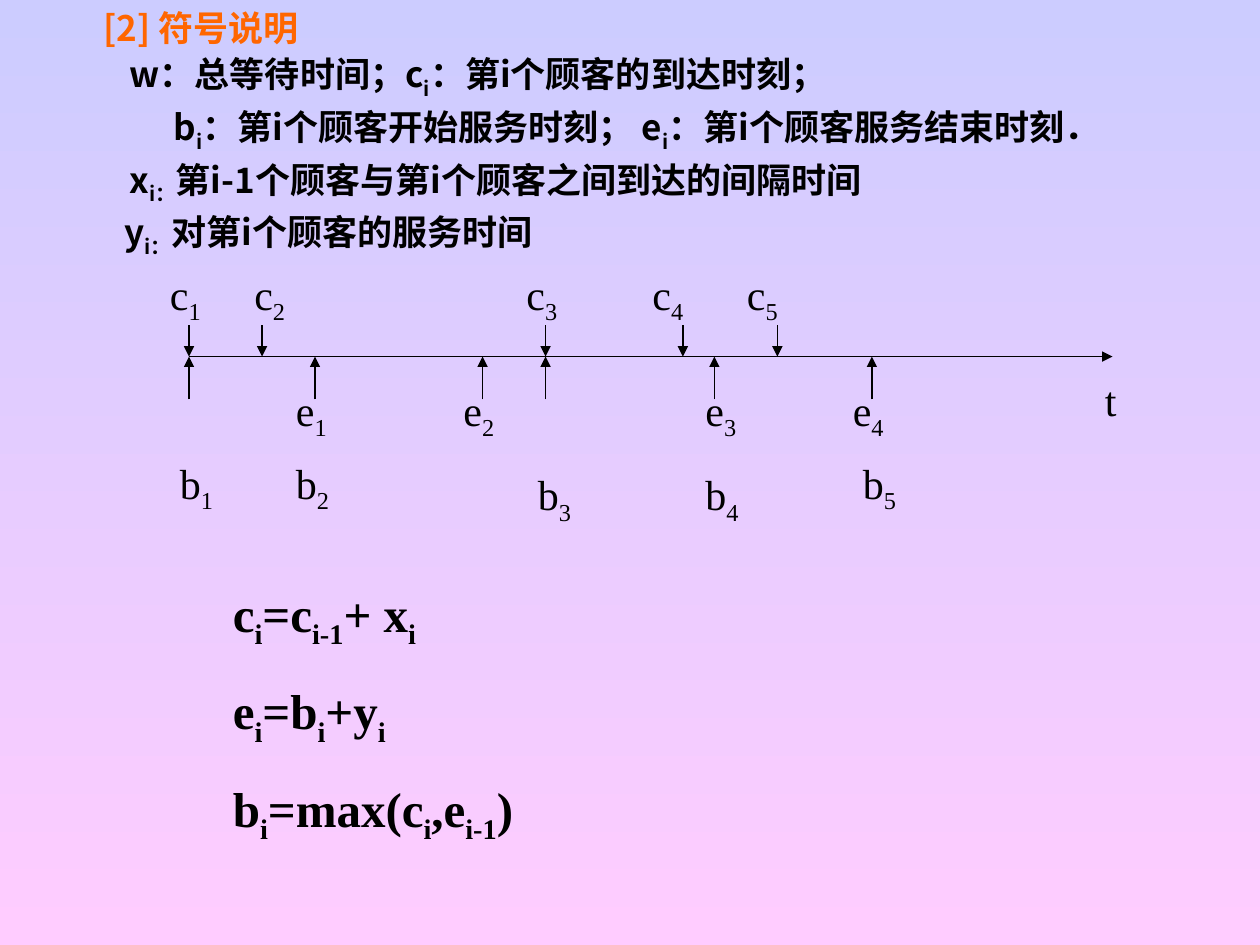
"""Builds the queueing notation slide with its customer timeline."""
from dataclasses import dataclass

from pptx import Presentation
from pptx.dml.color import RGBColor
from pptx.enum.shapes import MSO_CONNECTOR
from pptx.enum.text import MSO_AUTO_SIZE
from pptx.oxml.ns import qn
from pptx.util import Inches, Pt
from lxml.etree import SubElement

COLORS = {"ink": "000000", "heading": "FF6600", "top": "CCCCFF", "bottom": "FFCCFF"}
CJK, LATIN = "Noto Sans CJK SC", "Times New Roman"
AXIS_Y, ARRIVAL_Y, SERVICE_Y = 2.83, 2.58, 3.17


@dataclass(frozen=True)
class Line:
    text: str
    indent: float = 0
    color: str = "ink"
    spacing: float = 1.0
    before: float = 0


@dataclass(frozen=True)
class Style:
    font: str
    size: float
    bold: bool = False


@dataclass(frozen=True)
class Label:
    text: str
    left: float
    top: float
    width: float = 0.58


DEFINITIONS = [
    Line("[2] 符号说明", 0.29, "heading"),
    Line("w：总等待时间；c|i|：第i个顾客的到达时刻；", 0.5, spacing=1.1),
    Line("b|i|：第i个顾客开始服务时刻； e|i|：第i个顾客服务结束时刻．", 0.85, spacing=1.1),
    Line("x|i：|第i-1个顾客与第i个顾客之间到达的间隔时间", 0.5, spacing=1.1),
    Line("y|i：|对第i个顾客的服务时间", 0.46, spacing=1.1),
]
FORMULAS = [
    Line(formula, before=17.5)
    for formula in ("c|i|=c|i-1|+ x|i", "e|i|=b|i|+y|i", "b|i|=max(c|i|,e|i-1|)")
]
ARRIVALS = [1.5, 2.08, 4.33, 5.42, 6.17]
SERVICES = [1.5, 2.5, 3.83, 4.33, 5.67, 6.92]
LABELS = [
    *(Label(f"c|{i}", left, 2.08)
      for i, left in enumerate([1.25, 1.92, 4.08, 5.08, 5.83], 1)),
    *(Label(f"e|{i}", left, 3, width)
      for i, (left, width) in enumerate(
          [(2.25, 0.58), (3.58, 0.58), (5.5, 0.67), (6.67, 0.83)], 1)),
    Label("b|1", 1.33, 3.58, 0.5),
    Label("b|2", 2.25, 3.58, 0.83),
    Label("b|3", 4.17, 3.67, 0.83),
    Label("b|4", 5.5, 3.67, 0.5),
    Label("b|5", 6.75, 3.58, 0.67),
    Label("t", 8.67, 2.92, 0.5),
]


def rgb(name: str) -> RGBColor:
    return RGBColor.from_string(COLORS[name])


def write_line(paragraph, line: Line, style: Style) -> None:
    """Write one line, where every second part between bars is a subscript."""
    paragraph.line_spacing = line.spacing
    paragraph.space_before = Pt(line.before)
    properties = paragraph._p.get_or_add_pPr()
    properties.set("marL", str(Inches(line.indent)))
    properties.set("indent", "0")
    for position, part in enumerate(line.text.split("|")):
        if not part:
            continue
        run = paragraph.add_run()
        run.text = part
        font = run.font
        font.name, font.size, font.bold = style.font, Pt(style.size), style.bold
        font.color.rgb = rgb(line.color)
        SubElement(font._element, qn("a:ea")).set("typeface", style.font)
        if position % 2:
            font._element.set("baseline", "-25000")


def add_text(slide, lines: list[Line], style: Style, left: float, top: float,
             width: float, height: float, wrap: bool = True) -> None:
    box = slide.shapes.add_textbox(
        Inches(left), Inches(top), Inches(width), Inches(height))
    frame = box.text_frame
    frame.word_wrap = wrap
    frame.auto_size = MSO_AUTO_SIZE.SHAPE_TO_FIT_TEXT
    for index, line in enumerate(lines):
        paragraph = frame.add_paragraph() if index else frame.paragraphs[0]
        write_line(paragraph, line, style)


def add_arrow(slide, x1: float, y1: float, x2: float, y2: float) -> None:
    arrow = slide.shapes.add_connector(
        MSO_CONNECTOR.STRAIGHT, Inches(x1), Inches(y1), Inches(x2), Inches(y2))
    arrow.line.color.rgb = rgb("ink")
    arrow.line.width = Pt(0.75)
    SubElement(arrow.line._get_or_add_ln(), qn("a:tailEnd")).set("type", "triangle")
    SubElement(arrow._element.spPr, qn("a:effectLst"))


def paint_background(slide) -> None:
    fill = slide.background.fill
    fill.gradient()
    fill.gradient_angle = 270
    for stop, name, position in zip(fill.gradient_stops, ("top", "bottom"), (0, 1)):
        stop.color.rgb = rgb(name)
        stop.position = position


def main() -> None:
    deck = Presentation()
    deck.slide_width, deck.slide_height = Inches(10), Inches(7.5)
    slide = deck.slides.add_slide(deck.slide_layouts[6])
    paint_background(slide)
    add_text(slide, DEFINITIONS, Style(CJK, 20, True), 0.43, 0, 8.89, 2.17, wrap=False)
    add_arrow(slide, ARRIVALS[0], AXIS_Y, 8.83, AXIS_Y)
    for x in ARRIVALS:
        add_arrow(slide, x, ARRIVAL_Y, x, AXIS_Y)
    for x in SERVICES:
        add_arrow(slide, x, SERVICE_Y, x, AXIS_Y)
    for label in LABELS:
        add_text(slide, [Line(label.text, before=15)], Style(LATIN, 24),
                 label.left, label.top, label.width, 0.56)
    add_text(slide, FORMULAS, Style(LATIN, 28, True), 1.75, 4.58, 2.5, 2.89)
    deck.save("out.pptx")


if __name__ == "__main__":
    main()
